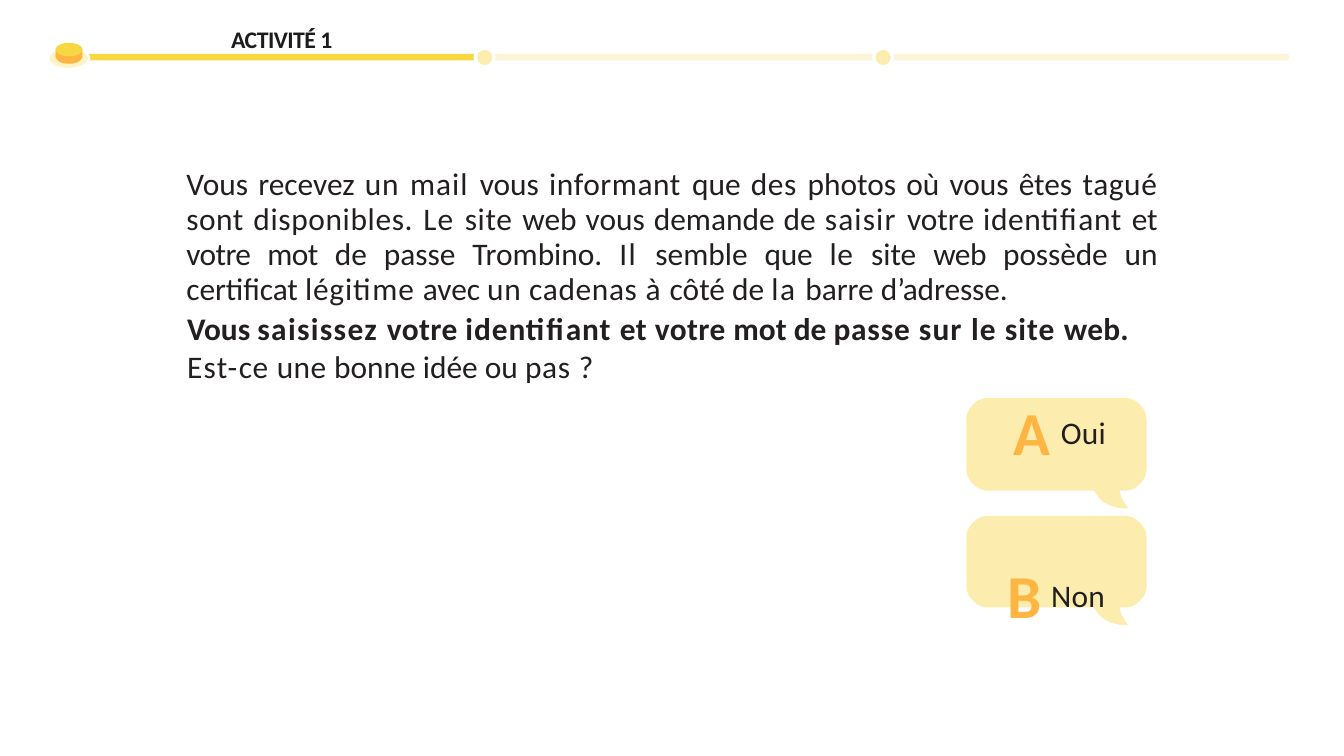
from math import cos, radians, sin

from pptx import Presentation
from pptx.dml.color import RGBColor
from pptx.enum.shapes import MSO_SHAPE as Preset
from pptx.enum.text import MSO_ANCHOR as Anchor, MSO_AUTO_SIZE as AutoSize, PP_ALIGN as Align
from pptx.util import Emu, Pt

PX = 9144  # EMU per px, 100 px to the inch
FONT = "Calibri"
COLORS = {
    "white": "FFFFFF", "ink": "231F20", "label": "1C1C1C", "orange": "FFB542",
    "yellow": "F7D842", "bubble": "FCEDAF", "track": "FCF4D8", "halo": "FCF4C6",
}
BODY_SIZE, LETTER_SIZE, LABEL_SIZE = 37, 123.8, 28

# Each phrase comes with its letter spacing in points.
SITUATION = [
    ("Vous recevez ", 0), ("un ", 0.8), ("mail ", 1.2), ("vous ", 0), ("informant ", 0.7),
    ("que ", 0), ("des ", 0.7), ("photos où vous êtes ", 0), ("tagué ", 0.7), ("sont ", 0.6),
    ("disponibles. ", 0.8), ("Le ", 1.4), ("site ", 0.8), ("web vous demande de ", 0),
    ("saisir ", 1.4), ("votre ", 0), ("identifiant ", 0.8), ("et ", -0.2), ("votre ", -0.7),
    ("mot ", -0.6), ("de passe Trombino. ", 0), ("Il ", 1.6), ("semble ", 0), ("que ", -0.2),
    ("le ", 0.7), ("site ", 0), ("web ", -0.5), ("possède ", -0.1), ("un ", 0),
    ("certificat ", -0.1), ("légitime ", 1), ("avec ", 0), ("un cadenas ", 0.8), ("à ", 1.1),
    ("côté de ", 0), ("la ", 1.8), ("barre ", 0), ("d’adresse.", -0.1),
]
ACTION = [
    ("Vous ", 0), ("saisissez ", 1.6), ("votre ", 0.5), ("identifiant ", 1.1), ("et ", 0.6),
    ("votre ", 0.5), ("mot de ", 0), ("passe ", 1), ("sur ", 1.4), ("le ", 1.2),
    ("site ", 1.3), ("web.", 0.3),
]
QUESTION = [
    ("Est-", 1.6), ("ce ", 0.8), ("une ", 0.5), ("bonne idée ou ", 0), ("pas ", 0.9), ("?", -0.5),
]
BUBBLE_LEFT, BUBBLE_RIGHT, BUBBLE_RADIUS = 1581, 1876, 36
# Tail points, measured from the bubble's bottom right corner.
TAIL = [
    (-44, 0), (-42, 9), (-39, 15), (-36, 21), (-30, 28), (-38, 29), (-46, 28),
    (-58, 25), (-68, 20), (-76, 14), (-81, 7), (-86, 0),
]


def rgb(color):
    return RGBColor.from_string(COLORS[color])


def paint(shape, color):
    shape.shadow.inherit = False
    shape.fill.solid()
    shape.fill.fore_color.rgb = rgb(color)
    shape.line.fill.background()


def add_preset(slide, preset, box, color):
    shape = slide.shapes.add_shape(preset, *(Emu(n * PX) for n in box))
    paint(shape, color)
    return shape


def arc(cx, cy, rx, ry, start, end, step=15):
    """Points clockwise from start to end, in degrees from the right-hand side."""
    return [(cx + rx * cos(radians(a)), cy + ry * sin(radians(a)))
            for a in range(start, end + 1, step)]


def add_outline(slide, points, color):
    builder = slide.shapes.build_freeform(*points[0], scale=PX)
    builder.add_line_segments(points[1:], close=True)
    paint(builder.convert_to_shape(), color)


def add_bubble(slide, top, height):
    r, bottom = BUBBLE_RADIUS, top + height
    left, right = BUBBLE_LEFT + r, BUBBLE_RIGHT - r
    add_outline(slide, [
        *arc(left, top + r, r, r, 180, 270),
        *arc(right, top + r, r, r, 270, 360),
        *arc(right, bottom - r, r, r, 0, 90),
        *((BUBBLE_RIGHT + dx, bottom + dy) for dx, dy in TAIL),
        *arc(left, bottom - r, r, r, 90, 180),
    ], "bubble")


def add_text_frame(slide, box, inset_top):
    frame = slide.shapes.add_textbox(*(Emu(n * PX) for n in box)).text_frame
    frame.word_wrap = True
    frame.auto_size = AutoSize.NONE
    frame.vertical_anchor = Anchor.TOP
    frame.margin_left = frame.margin_right = frame.margin_bottom = 0
    frame.margin_top = Emu(inset_top * PX)
    return frame


def format_paragraph(paragraph, indent, line=None, before=0, align=Align.LEFT):
    properties = paragraph._p.get_or_add_pPr()
    properties.set("marL", str(indent * PX))
    properties.set("indent", "0")
    paragraph.alignment = align
    paragraph.space_before = Pt(before)
    if line:
        paragraph.line_spacing = Pt(line)


def add_run(paragraph, text, spacing, size=BODY_SIZE, color="ink", bold=False, baseline=0):
    run = paragraph.add_run()
    run.text = text
    run.font.name = FONT
    run.font.size = Pt(size)
    run.font.bold = bold
    run.font.color.rgb = rgb(color)
    properties = run._r.get_or_add_rPr()
    properties.set("spc", str(round(spacing * 100)))
    if baseline:
        properties.set("baseline", str(baseline * 1000))


def add_phrases(paragraph, phrases, bold=False):
    for text, spacing in phrases:
        add_run(paragraph, text, spacing, bold=bold)


def add_choice(paragraph, letter, letter_spacing, answer, answer_spacing):
    add_run(paragraph, f"{letter} ", letter_spacing, LETTER_SIZE, "orange", True, -11)
    add_run(paragraph, answer, answer_spacing)


def add_situation(slide):
    paragraph = add_text_frame(slide, (304, 266, 1590, 236), 7).paragraphs[0]
    format_paragraph(paragraph, 1, line=41.2, align=Align.JUSTIFY)
    add_phrases(paragraph, SITUATION)


def add_quiz(slide):
    frame = add_text_frame(slide, (303, 499, 1555, 464), 6)
    action = frame.paragraphs[0]
    format_paragraph(action, 3)
    add_phrases(action, ACTION, bold=True)

    question = frame.add_paragraph()
    format_paragraph(question, 3, line=42.7, before=3.2)
    add_phrases(question, QUESTION)

    yes = frame.add_paragraph()
    format_paragraph(yes, 1355, line=97.3)
    add_choice(yes, "A", -3.7, "Oui", 0.4)

    no = frame.add_paragraph()
    format_paragraph(no, 1346, before=40.3)
    add_choice(no, "B", -5.4, "Non", 0.3)


def add_label(slide):
    paragraph = add_text_frame(slide, (377, 38, 181, 49), 2).paragraphs[0]
    format_paragraph(paragraph, 1)
    add_run(paragraph, "ACTIVITÉ 1", -0.6, LABEL_SIZE, "label", True)


def add_milestone(slide, center_x, center_y=94):
    add_preset(slide, Preset.OVAL, (center_x - 15, center_y - 15, 30, 30), "bubble")
    ring = add_preset(slide, Preset.DONUT, (center_x - 18, center_y - 18, 36, 36), "white")
    ring.adjustments[0] = 0.15


def add_token(slide):
    add_preset(slide, Preset.OVAL, (78, 77, 70, 38), "white")
    add_preset(slide, Preset.OVAL, (81, 80, 63, 31), "halo")
    add_outline(slide, [(91, 81), (135, 81), *arc(113, 93, 22, 11, 0, 180)], "orange")
    add_preset(slide, Preset.OVAL, (91, 70, 44, 22), "yellow")


def add_progress(slide):
    add_preset(slide, Preset.RECTANGLE, (137, 88, 659, 11), "yellow")
    add_label(slide)
    add_preset(slide, Preset.RECTANGLE, (796, 88, 649, 11), "track")
    last_stage = add_preset(slide, Preset.ROUNDED_RECTANGLE, (1450, 88, 660, 11), "track")
    last_stage.adjustments[0] = 0.5
    for center_x in (793, 1445):
        add_milestone(slide, center_x)
    add_token(slide)


def main():
    deck = Presentation()
    deck.slide_width, deck.slide_height = Emu(2199 * PX), Emu(1237 * PX)
    slide = deck.slides.add_slide(deck.slide_layouts[6])
    add_situation(slide)
    for top, height in ((651, 152), (844, 150)):
        add_bubble(slide, top, height)
    add_quiz(slide)
    add_progress(slide)
    deck.save("out.pptx")


if __name__ == "__main__":
    main()
